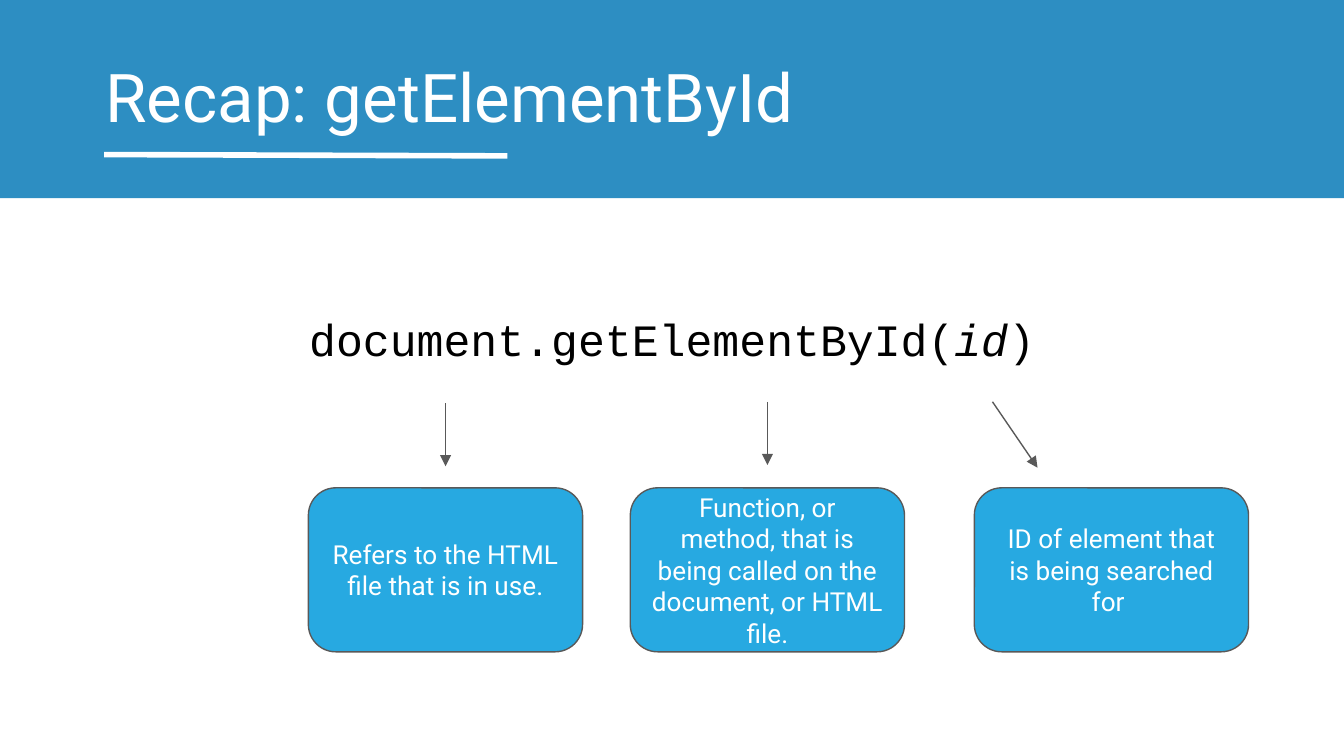
from lxml.etree import SubElement
from pptx import Presentation
from pptx.dml.color import RGBColor
from pptx.enum.shapes import MSO_CONNECTOR, MSO_SHAPE
from pptx.enum.text import MSO_ANCHOR, MSO_AUTO_SIZE, PP_ALIGN
from pptx.oxml.ns import qn
from pptx.util import Pt

PX = 4572  # 200 px to the inch
INSET = 20
COLORS = {
    "band": "2D8EC2",
    "note": "27A9E1",
    "outline": "595959",
    "light": "FFFFFF",
    "code": "000000",
}
NOTE_SIZE = (408, 244)
NOTE_TOP = 726
# left edge of the note, text, arrow start, arrow end
NOTES = [
    (459, "Refers to the HTML file that is in use.", (663, 600), (663, 694)),
    (938, "Function, or method, that is being called on the document, or HTML file.",
     (1142, 598), (1142, 692)),
    (1450, "ID of element that is being searched for ", (1477, 598), (1544, 696)),
]


def color(name):
    return RGBColor.from_string(COLORS[name])


def emu(*lengths):
    return [length * PX for length in lengths]


def set_frame(shape, anchor, top_inset=INSET):
    frame = shape.text_frame
    frame.word_wrap = True
    frame.auto_size = MSO_AUTO_SIZE.NONE
    frame.vertical_anchor = anchor
    frame.margin_left, frame.margin_right, frame.margin_bottom = emu(INSET, INSET, INSET)
    frame.margin_top = top_inset * PX
    return frame


def format_runs(para, font, size, color_name, align):
    para.alignment = align
    for span in para.runs:
        span.font.name = font
        span.font.size = Pt(size)
        span.font.color.rgb = color(color_name)


def add_line(page, start, end, color_name, width, arrow=False):
    line = page.shapes.add_connector(MSO_CONNECTOR.STRAIGHT, *emu(*start, *end))
    line.line.color.rgb = color(color_name)
    line.line.width = Pt(width)
    if arrow:
        SubElement(line.line._get_or_add_ln(), qn("a:tailEnd"), type="triangle")
    SubElement(line._element.spPr, qn("a:effectLst"))


def add_header(page, left, top, width, height):
    band = page.shapes.add_shape(MSO_SHAPE.RECTANGLE, *emu(left, top, width, height))
    band.shadow.inherit = False
    band.fill.solid()
    band.fill.fore_color.rgb = color("band")
    band.line.fill.background()
    add_line(page, (left + 155, top + 230), (left + 755, top + 232), "light", 3)

    title = page.shapes.title
    title.left, title.top, title.width, title.height = emu(left + 137, top + 62, width - 137, 126)
    frame = set_frame(title, MSO_ANCHOR.TOP)
    frame.text = "Recap: getElementById"
    format_runs(frame.paragraphs[0], "Roboto", 36, "light", PP_ALIGN.LEFT)
    page.shapes._spTree.append(title._element)  # bring in front of the band


def add_code(page, left, top, width, height):
    box = page.shapes.add_textbox(*emu(left, top, width, height))
    para = set_frame(box, MSO_ANCHOR.TOP, top_inset=156).paragraphs[0]
    for text in ("document.getElementById(", "id", ")"):
        span = para.add_run()
        span.text = text
        span.font.italic = text == "id"
    format_runs(para, "Courier New", 24, "code", PP_ALIGN.CENTER)


def add_note(page, left, top, width, height, text):
    note = page.shapes.add_shape(MSO_SHAPE.ROUNDED_RECTANGLE, *emu(left, top, width, height))
    note.shadow.inherit = False
    note.fill.solid()
    note.fill.fore_color.rgb = color("note")
    note.line.color.rgb = color("outline")
    note.line.width = Pt(0.75)
    frame = set_frame(note, MSO_ANCHOR.MIDDLE)
    frame.text = text
    format_runs(frame.paragraphs[0], "Roboto", 14, "light", PP_ALIGN.CENTER)


def main():
    deck = Presentation()
    deck.slide_width, deck.slide_height = emu(2000, 1125)
    page = deck.slides.add_slide(deck.slide_layouts[5])
    add_header(page, 0, 0, 2000, 295)
    add_code(page, 68, 308, 1864, 748)
    for left, text, start, end in NOTES:
        add_line(page, start, end, "outline", 0.75, arrow=True)
        add_note(page, left, NOTE_TOP, *NOTE_SIZE, text)
    deck.save("out.pptx")


if __name__ == "__main__":
    main()
